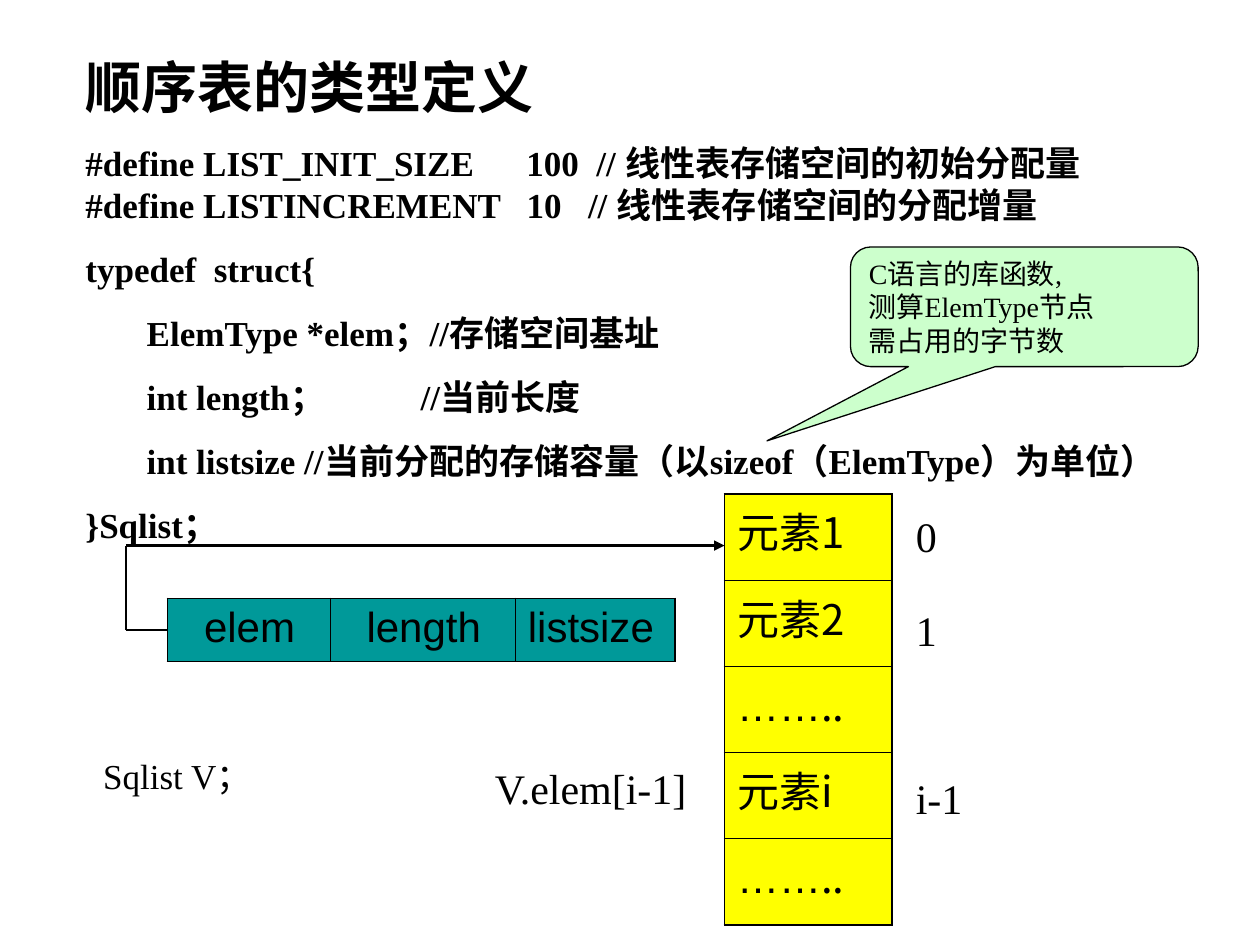
from dataclasses import dataclass

from lxml import etree
from pptx import Presentation
from pptx.dml.color import RGBColor
from pptx.enum.shapes import MSO_CONNECTOR, MSO_SHAPE
from pptx.enum.text import MSO_ANCHOR, MSO_AUTO_SIZE, PP_ALIGN
from pptx.oxml.ns import qn
from pptx.util import Inches, Pt

STRAIGHT = MSO_CONNECTOR.STRAIGHT
CALLOUT = MSO_SHAPE.ROUNDED_RECTANGULAR_CALLOUT
TOP, MIDDLE = MSO_ANCHOR.TOP, MSO_ANCHOR.MIDDLE
FIT, LEFT = MSO_AUTO_SIZE.SHAPE_TO_FIT_TEXT, PP_ALIGN.LEFT


@dataclass(frozen=True)
class Theme:
    ink: str = "000000"
    teal: str = "009999"
    yellow: str = "FFFF00"
    mint: str = "CCFFCC"
    serif: str = "Times New Roman"
    sans: str = "Arial"
    cjk: str = "Noto Sans CJK SC"
    title: int = 32
    label: int = 24
    code: int = 20
    note: int = 16
    gap: float = 12.5
    outer: float = 1.08
    inner: float = 0.45


class SlideBuilder:
    """Draws styled elements on the current slide."""

    def __init__(self, slide, theme):
        self.s, self.t = slide, theme

    def run(self, p, text, size, font, bold=False):
        r = p.add_run()
        r.text = text
        style = {"size": Pt(size), "name": font, "bold": bold}
        for name, value in style.items():
            setattr(r.font, name, value)
        r.font.color.rgb = RGBColor.from_string(self.t.ink)
        ea = etree.SubElement(r.font._element, qn("a:ea"))
        ea.set("typeface", self.t.cjk)

    def paragraph(self, tf, lines, size, font, bold=False, gap=0):
        first = not tf.paragraphs[0].runs
        p = tf.paragraphs[0] if first else tf.add_paragraph()
        p.alignment = LEFT
        p.space_before = Pt(0 if first else gap)
        for i, line in enumerate(lines.split("\n")):
            if i:
                p.add_line_break()
            self.run(p, line, size, font, bold)

    def textbox(self, x, y, w, h, wrap=True):
        sp = self.s.shapes.add_textbox(Inches(x), Inches(y), Inches(w), Inches(h))
        tf = sp.text_frame
        for name, value in {"word_wrap": wrap, "auto_size": FIT}.items():
            setattr(tf, name, value)
        return tf

    def label(self, text, x, y, w, h=0.5, size=None, wrap=True):
        tf = self.textbox(x, y, w, h, wrap)
        self.paragraph(tf, text, size or self.t.label, self.t.serif)

    def line(self, start, end, arrow=False):
        points = [Inches(v) for v in (*start, *end)]
        c = self.s.shapes.add_connector(STRAIGHT, *points)
        c.line.color.rgb = RGBColor.from_string(self.t.ink)
        c.line.width = Pt(1.5)
        if arrow:
            tail = etree.SubElement(c.line._get_or_add_ln(), qn("a:tailEnd"))
            tail.set("type", "triangle")
        etree.SubElement(c._element.spPr, qn("a:effectLst"))

    def callout(self, lines, x, y, w, h, adjustments):
        sp = self.s.shapes.add_shape(CALLOUT, Inches(x), Inches(y), Inches(w), Inches(h))
        sp.shadow.inherit = False
        for i, value in enumerate(adjustments):
            sp.adjustments[i] = value
        sp.fill.solid()
        sp.fill.fore_color.rgb = RGBColor.from_string(self.t.mint)
        sp.line.color.rgb = RGBColor.from_string(self.t.ink)
        sp.line.width = Pt(0.75)
        tf = sp.text_frame
        for name, value in {"word_wrap": True, "vertical_anchor": MIDDLE}.items():
            setattr(tf, name, value)
        for text in lines:
            self.paragraph(tf, text, self.t.note, self.t.serif)

    def border(self, cell, side, width):
        ln = etree.SubElement(cell._tc.get_or_add_tcPr(), qn(f"a:ln{side}"))
        ln.set("w", str(Pt(width)))
        fill = etree.SubElement(ln, qn("a:solidFill"))
        etree.SubElement(fill, qn("a:srgbClr")).set("val", self.t.ink)

    def table(self, rows, x, y, widths, row_height, fill):
        n_rows, n_cols = len(rows), len(widths)
        tbl = self.s.shapes.add_table(
            n_rows, n_cols, Inches(x), Inches(y),
            Inches(sum(widths)), Inches(row_height * n_rows)).table
        tbl.first_row = tbl.horz_banding = False
        for col, width in zip(tbl.columns, widths):
            col.width = Inches(width)
        for i, row in enumerate(rows):
            tbl.rows[i].height = Inches(row_height)
            for j, (runs, indent) in enumerate(row):
                cell = tbl.cell(i, j)
                edges = {"L": j == 0, "R": j == n_cols - 1,
                         "T": i == 0, "B": i == n_rows - 1}
                for side, is_outer in edges.items():
                    self.border(cell, side, self.t.outer if is_outer else self.t.inner)
                cell.fill.solid()
                cell.fill.fore_color.rgb = RGBColor.from_string(fill)
                style = {"margin_left": Inches(indent), "vertical_anchor": TOP}
                for name, value in style.items():
                    setattr(cell, name, value)
                for text, font in runs:
                    self.run(cell.text_frame.paragraphs[0], text, self.t.label, font)


def main():
    prs = Presentation()
    prs.slide_width, prs.slide_height = Inches(10), Inches(7.5)
    t = Theme()
    b = SlideBuilder(prs.slides.add_slide(prs.slide_layouts[6]), t)

    fields = [("elem", 0.29), ("length", 0.29), ("listsize", 0.1)]
    b.table([[([(name, t.sans)], indent) for name, indent in fields]],
            1.33, 4.75, [1.29, 1.47, 1.27], 0.5, t.teal)
    dots = [("……", t.sans), ("..", t.cjk)]
    elements = [[("元素1", t.cjk)], [("元素2", t.cjk)], dots, [("元素i", t.cjk)], dots]
    b.table([[(runs, 0.1)] for runs in elements], 5.75, 3.92, [1.33], 0.684, t.yellow)

    for index, y in (("0", 4), ("1", 4.75), ("i-1", 6.08)):
        b.label(index, 7.17, y, 0.83)
    b.label("V.elem[i-1]", 3.83, 6, 1.76, wrap=False)

    tf = b.textbox(0.58, 0.37, 9.42, 4.01)
    b.paragraph(tf, "顺序表的类型定义", t.title, t.sans, bold=True)
    for code in (
        "#define LIST_INIT_SIZE      100  // 线性表存储空间的初始分配量\n"
        "#define LISTINCREMENT   10   // 线性表存储空间的分配增量",
        "typedef  struct{",
        "       ElemType *elem；//存储空间基址",
        "       int length；            //当前长度",
        "       int listsize //当前分配的存储容量（以sizeof（ElemType）为单位）",
        "}Sqlist；",
    ):
        b.paragraph(tf, code, t.code, t.serif, bold=True, gap=t.gap)

    route = [(1.33, 5), (1, 5), (1, 4.33), (5.75, 4.33)]
    for start, end in zip(route, route[1:]):
        b.line(start, end, arrow=end == route[-1])

    b.callout(["C语言的库函数,", "测算ElemType节点", "需占用的字节数"],
              6.75, 1.96, 2.76, 0.95, (-0.74, 1.12, 0.17))
    b.label("Sqlist V；", 0.72, 5.94, 1.45, 0.44, t.code, wrap=False)
    prs.save("out.pptx")


if __name__ == "__main__":
    main()
